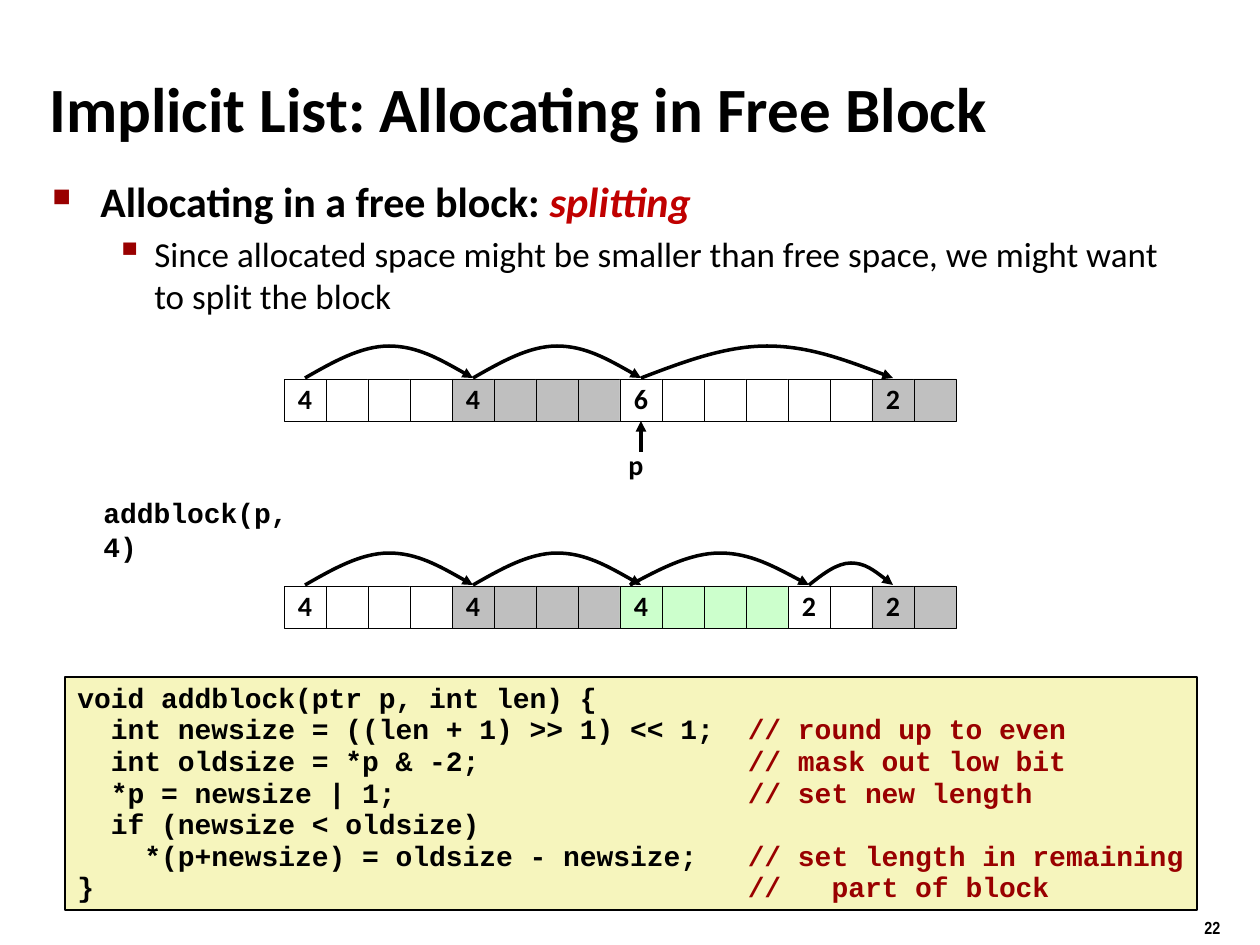
import pptx
import pptx.util
import pptx.dml.color
import pptx.enum.shapes
import pptx.enum.text
import pptx.oxml.ns
from lxml import etree

EMU = 914400 / 126  # one px
BLACK = pptx.dml.color.RGBColor(0x00, 0x00, 0x00)
WHITE = pptx.dml.color.RGBColor(0xFF, 0xFF, 0xFF)
GRAY = pptx.dml.color.RGBColor(0xBF, 0xBF, 0xBF)
SILVER = pptx.dml.color.RGBColor(0xC0, 0xC0, 0xC0)
GREEN = pptx.dml.color.RGBColor(0xCC, 0xFF, 0xCC)
CREAM = pptx.dml.color.RGBColor(0xF6, 0xF5, 0xBD)
RED = pptx.dml.color.RGBColor(0xC0, 0x00, 0x00)
DARK_RED = pptx.dml.color.RGBColor(0x99, 0x00, 0x00)
RECTANGLE = pptx.enum.shapes.MSO_SHAPE.RECTANGLE
MIDDLE = pptx.enum.text.MSO_ANCHOR.MIDDLE
CENTER = pptx.enum.text.PP_ALIGN.CENTER
qn = pptx.oxml.ns.qn


def set_font(paragraph, size, name="Calibri", bold=True):
    paragraph.font.size = pptx.util.Pt(size)
    paragraph.font.name = name
    paragraph.font.bold = bold
    paragraph.font.color.rgb = BLACK


def style_arrow(shape):
    shape.line.color.rgb = BLACK
    shape.line.width = pptx.util.Pt(2)
    properties = shape.element.spPr
    etree.SubElement(properties.find(qn("a:ln")), qn("a:tailEnd"), type="triangle")
    etree.SubElement(properties, qn("a:effectLst"))


presentation = pptx.Presentation()
presentation.slide_width = round(1260 * EMU)
presentation.slide_height = round(945 * EMU)
slide = presentation.slides.add_slide(presentation.slide_layouts[6])
shapes = slide.shapes

# Title, labels and slide number
labels = [
    ("Implicit List: Allocating in Free Block", 37, 68, 1187, 79, 36, "Calibri"),
    ("p", 616, 442, 43, 45, 16, "Calibri"),
    ("addblock(p, 4)", 91, 508, 259, 42, 16, "Courier New"),
    ("22", 1192, 911, 60, 33, 10, "Arial Narrow"),
]
for text, left, top, width, height, size, font_name in labels:
    box = shapes.add_textbox(*(round(n * EMU) for n in (left, top, width, height)))
    box.text_frame.vertical_anchor = MIDDLE
    paragraph = box.text_frame.paragraphs[0]
    paragraph.text = text
    set_font(paragraph, size, font_name)

# Bulleted text
body = shapes.add_textbox(*(round(n * EMU) for n in (40, 169, 1144, 160)))
body.text_frame.word_wrap = True
bullets = [
    ([("Allocating in a free block: ", False), ("splitting", True)],
     24, True, 48, 48, 4.8, "■", 60),
    ([("Since allocated space might be smaller than free space, "
       "we might want to split the block", False)],
     20, False, 102, 39, 4, "▪", 110),
]
for level, (runs, size, bold, margin, hanging, before, mark, percent) in enumerate(bullets):
    paragraph = body.text_frame.add_paragraph() if level else body.text_frame.paragraphs[0]
    paragraph.level = level
    paragraph.space_before = pptx.util.Pt(before)
    properties = paragraph._p.get_or_add_pPr()
    properties.set("marL", str(round(margin * EMU)))
    properties.set("indent", str(-round(hanging * EMU)))
    bullet_color = etree.SubElement(properties, qn("a:buClr"))
    etree.SubElement(bullet_color, qn("a:srgbClr"), val=str(DARK_RED))
    etree.SubElement(properties, qn("a:buSzPct"), val=str(percent * 1000))
    etree.SubElement(properties, qn("a:buChar"), char=mark)
    set_font(paragraph, size, bold=bold)
    for text, emphasized in runs:
        run = paragraph.add_run()
        run.text = text
        if emphasized:
            run.font.italic = True
            run.font.color.rgb = RED

# Heap before and after: blocks are (size, fill), arcs are (from cell, to cell, height)
CELL, HEAP_LEFT = 42, 284
heaps = [
    (379, [(4, WHITE), (4, GRAY), (6, WHITE), (2, SILVER)],
     [(0, 4, 32), (4, 8, 32), (8, 14, 32)]),
    (586, [(4, WHITE), (4, GRAY), (4, GREEN), (2, WHITE), (2, SILVER)],
     [(0, 4, 32), (4, 8, 32), (7.75, 12, 32), (12, 14, 22)]),
]
headers = []
for top, blocks, arcs in heaps:
    left = HEAP_LEFT
    for block_size, fill in blocks:
        for word in range(block_size):
            cell = shapes.add_shape(
                RECTANGLE, *(round(n * EMU) for n in (left, top, CELL, CELL)))
            cell.shadow.inherit = False
            cell.fill.solid()
            cell.fill.fore_color.rgb = fill
            cell.line.color.rgb = BLACK
            cell.line.width = pptx.util.Pt(0.25)
            if word == 0:
                headers.append(cell)
                cell.text_frame.word_wrap = False
                cell.text_frame.vertical_anchor = MIDDLE
                paragraph = cell.text_frame.paragraphs[0]
                paragraph.text = str(block_size)
                paragraph.alignment = CENTER
                paragraph.line_spacing = 0.98
                set_font(paragraph, 16)
            left += CELL

    for first, last, height in arcs:
        start = HEAP_LEFT + (first + 0.5) * CELL
        span = (last - first) * CELL
        base = top - 1
        builder = shapes.build_freeform(start, base, scale=EMU)
        rises = (0.5, 1, 1, 1, 0.5, 0)
        builder.add_line_segments(
            [(start + span * step / 6, base - height * rise)
             for step, rise in enumerate(rises, 1)], close=False)
        arc = builder.convert_to_shape()
        arc.fill.background()
        # Each three points become one cubic curve
        outline = arc.element.find(".//" + qn("a:path"))
        segments = outline.findall(qn("a:lnTo"))
        for index in (0, 3):
            curve = etree.SubElement(outline, qn("a:cubicBezTo"))
            for segment in segments[index:index + 3]:
                curve.append(segment[0])
                outline.remove(segment)
        style_arrow(arc)

# Pointer p to the free block
pointer = shapes.add_connector(
    pptx.enum.shapes.MSO_CONNECTOR.STRAIGHT,
    *(round(n * EMU) for n in (641, 452, 641, 421)))
pointer.end_connect(headers[2], 2)
style_arrow(pointer)

# Code listing, comments from column 40
code_box = shapes.add_shape(
    RECTANGLE, *(round(n * EMU) for n in (65, 677, 1132, 233)))
code_box.shadow.inherit = False
code_box.fill.solid()
code_box.fill.fore_color.rgb = CREAM
code_box.line.color.rgb = BLACK
code_box.line.width = pptx.util.Pt(1)
code_box.text_frame.word_wrap = False
code_box.text_frame.vertical_anchor = pptx.enum.text.MSO_ANCHOR.TOP
code_lines = [
    ("void addblock(ptr p, int len) {", ""),
    ("  int newsize = ((len + 1) >> 1) << 1;", "// round up to even"),
    ("  int oldsize = *p & -2;", "// mask out low bit"),
    ("  *p = newsize | 1;", "// set new length"),
    ("  if (newsize < oldsize)", ""),
    ("    *(p+newsize) = oldsize - newsize;", "// set length in remaining"),
    ("}", "//   part of block"),
]
for number, (code, comment) in enumerate(code_lines):
    frame = code_box.text_frame
    paragraph = frame.add_paragraph() if number else frame.paragraphs[0]
    paragraph.alignment = pptx.enum.text.PP_ALIGN.LEFT
    paragraph.line_spacing = 0.94
    set_font(paragraph, 16, "Courier New")
    paragraph.add_run().text = code.ljust(40) if comment else code
    if comment:
        run = paragraph.add_run()
        run.text = comment
        run.font.color.rgb = DARK_RED

presentation.save("out.pptx")
